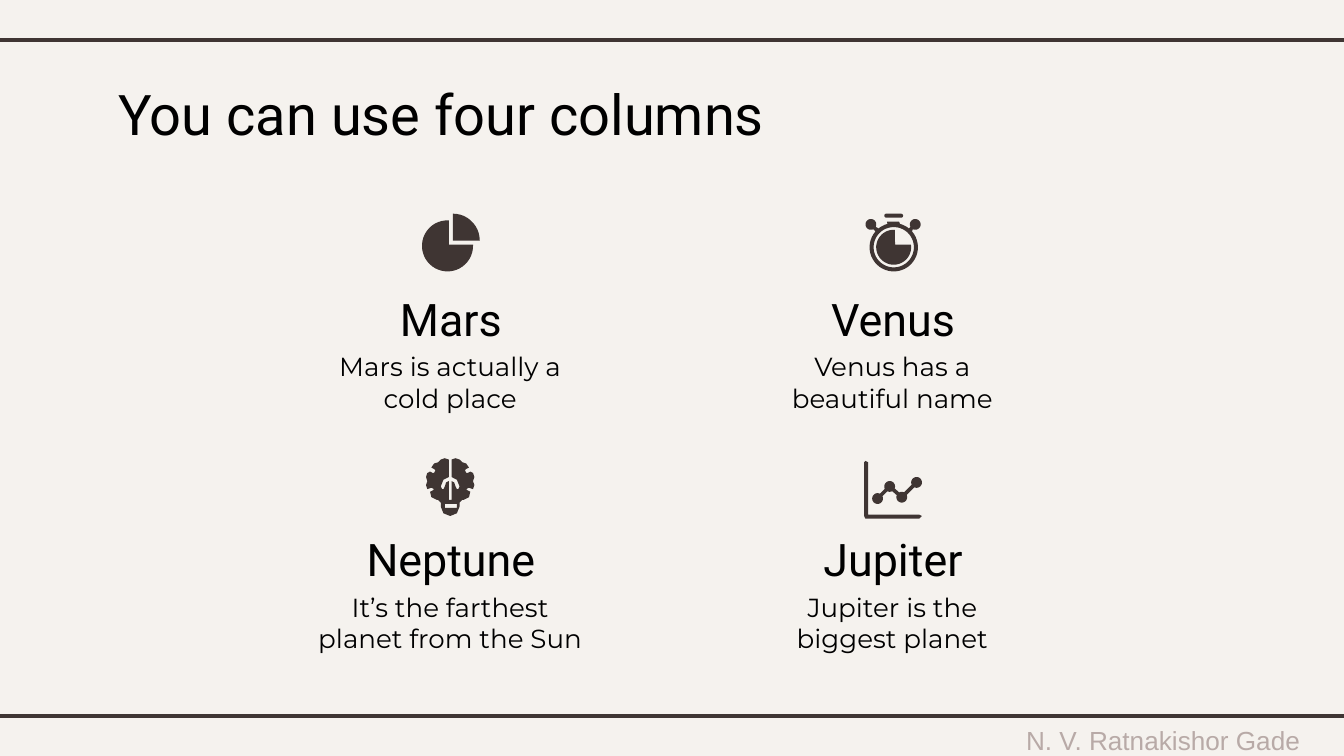
from dataclasses import dataclass
from itertools import chain
from math import atan2, cos, degrees, radians, sin

from lxml.etree import SubElement
from pptx import Presentation
from pptx.dml.color import RGBColor
from pptx.enum.shapes import MSO_CONNECTOR, MSO_SHAPE
from pptx.enum.text import MSO_ANCHOR, PP_ALIGN
from pptx.oxml.ns import qn
from pptx.util import Inches, Pt

DARK, BLACK, CREAM, GREY = "3F3533", "000000", "F5F2EE", "B8AAA7"
Point = tuple[float, float]


@dataclass
class TextStyle:
    font: str
    size: int
    color: str = BLACK
    align: PP_ALIGN = PP_ALIGN.CENTER
    anchor: MSO_ANCHOR = MSO_ANCHOR.TOP
    inset: float = 0.1


@dataclass
class Planet:
    name: str
    fact: str
    column: int
    row: int


TITLE = TextStyle("Roboto", 30, align=PP_ALIGN.LEFT)
NAME = TextStyle("Roboto", 24)
FACT = TextStyle("Montserrat", 14)
FOOTER = TextStyle("Arial", 14, GREY, anchor=MSO_ANCHOR.MIDDLE, inset=0)

PLANETS = [
    Planet("Venus", "Venus has a beautiful name", 1, 0),
    Planet("Mars", "Mars is actually a cold place", 0, 0),
    Planet("Jupiter", "Jupiter is the biggest planet", 1, 1),
    Planet("Neptune", "It’s the farthest planet from the Sun", 0, 1),
]

BRAIN_HALF = [
    (0.01, 3.72), (0.01, 3.58), (0.03, 3.59), (0.04, 3.62), (0.05, 3.64),
    (0.06, 3.64), (0.07, 3.62), (0.05, 3.57), (0.01, 3.55), (0.01, 3.42),
    (0.04, 3.41), (0.07, 3.42), (0.09, 3.44), (0.12, 3.45), (0.14, 3.48),
    (0.12, 3.49), (0.11, 3.5), (0.12, 3.52), (0.13, 3.52), (0.15, 3.51),
    (0.17, 3.52), (0.18, 3.55), (0.17, 3.58), (0.18, 3.61), (0.17, 3.64),
    (0.14, 3.63), (0.12, 3.64), (0.13, 3.65), (0.15, 3.66), (0.14, 3.7),
    (0.1, 3.72), (0.09, 3.72), (0.07, 3.74), (0.07, 3.77), (0.05, 3.82), (0, 3.84),
]


def rgb(color: str) -> RGBColor:
    return RGBColor.from_string(color)


def add_text(s, text: str, x: float, y: float, w: float, h: float, style: TextStyle) -> None:
    tf = s.shapes.add_textbox(Inches(x), Inches(y), Inches(w), Inches(h)).text_frame
    tf.word_wrap = True
    tf.vertical_anchor = style.anchor
    tf.margin_left = tf.margin_right = Inches(style.inset)
    tf.margin_top = tf.margin_bottom = Inches(style.inset)
    tf.text = text
    p = tf.paragraphs[0]
    p.alignment = style.align
    font = p.runs[0].font
    font.name, font.size = style.font, Pt(style.size)
    font.color.rgb = rgb(style.color)


def add_rule(s, y: float) -> None:
    line = s.shapes.add_connector(
        MSO_CONNECTOR.STRAIGHT, Inches(-0.08), Inches(y), Inches(10.08), Inches(y)
    )
    line.line.color.rgb = rgb(DARK)
    line.line.width = Pt(2.25)
    SubElement(line._element.spPr, qn("a:effectLst"))


def paint(sp) -> None:
    sp.shadow.inherit = False
    sp.fill.solid()
    sp.fill.fore_color.rgb = rgb(DARK)
    sp.line.fill.background()


def add_outline(shapes, *contours: list[Point]) -> None:
    scaled = [[(Inches(x), Inches(y)) for x, y in contour] for contour in contours]
    builder = shapes.build_freeform(*scaled[0][0], scale=1.0)
    builder.add_line_segments(scaled[0][1:], close=True)
    for contour in scaled[1:]:
        builder.move_to(*contour[0])
        builder.add_line_segments(contour[1:], close=True)
    paint(builder.convert_to_shape())


def arc(center: Point, radius: float, start: float, end: float) -> list[Point]:
    steps = max(2, round(abs(end - start) / 8))
    angles = [radians(start + (end - start) * i / steps) for i in range(steps + 1)]
    return [(center[0] + radius * cos(a), center[1] + radius * sin(a)) for a in angles]


def direction(a: Point, b: Point) -> float:
    return degrees(atan2(b[1] - a[1], b[0] - a[0]))


def add_pie_icon(s) -> None:
    shapes = s.shapes.add_group_shape().shapes
    add_outline(shapes, arc((3.33, 1.83), 0.19, -3, 273) + [(3.34, 1.82)])
    add_outline(shapes, arc((3.37, 1.79), 0.2, 270, 360) + [(3.37, 1.79)])


def add_stopwatch_icon(s) -> None:
    shapes = s.shapes.add_group_shape().shapes
    center, radius, ear = (6.65, 1.84), 0.18, 0.04
    add_outline(shapes, arc(center, 0.13, -9, 274) + [(6.66, 1.82)])
    bar = shapes.add_shape(
        MSO_SHAPE.ROUNDED_RECTANGLE, Inches(6.58), Inches(1.59), Inches(0.14), Inches(0.03)
    )
    bar.adjustments[0] = 0.5
    paint(bar)
    case = (
        arc(center, radius, -41, 221)
        + arc((6.48, 1.67), ear, 63, 387)
        + arc(center, radius, 231, 255)
        + [(6.6, 1.65), (6.69, 1.65)]
        + arc(center, radius, 285, 309)
        + arc((6.81, 1.67), ear, 153, 477)
    )
    add_outline(shapes, case, arc(center, 0.15, 0, 360))


def add_brain_icon(s) -> None:
    middle = 3.35
    left = [(middle - dx, y) for dx, y in BRAIN_HALF]
    right = [(middle + dx, y) for dx, y in reversed(BRAIN_HALF)]
    slot = [(3.31, 3.75), (3.4, 3.75), (3.4, 3.78), (3.31, 3.78)]
    add_outline(s.shapes, left + right, slot)


def add_trend_icon(s) -> None:
    shapes = s.shapes.add_group_shape().shapes
    add_outline(shapes, [
        (6.44, 3.43), (6.46, 3.44), (6.46, 3.83), (6.84, 3.83), (6.86, 3.84),
        (6.84, 3.86), (6.44, 3.86), (6.43, 3.84), (6.43, 3.44),
    ])
    dots = [(6.53, 3.71), (6.62, 3.62), (6.71, 3.7), (6.82, 3.59)]
    tour = dots + dots[-2:0:-1]
    gap = 20
    arcs = []
    for i, dot in enumerate(tour):
        start = direction(dot, tour[i - 1])
        sweep = (direction(dot, tour[(i + 1) % len(tour)]) - start) % 360 or 360
        arcs.append(arc(dot, 0.04, start + gap, start + sweep - gap))
    add_outline(shapes, list(chain.from_iterable(arcs)))


def add_planet(s, planet: Planet) -> None:
    x, y = 2.09 + 3.29 * planet.column, 2.07 + 1.79 * planet.row
    add_text(s, planet.name, x, y, 2.53, 0.54, NAME)
    add_text(s, planet.fact, x + 0.15, y + 0.44, 2.22, 0.63, FACT)


def main() -> None:
    prs = Presentation()
    prs.slide_width = Inches(10)
    prs.slide_height = prs.slide_width * 9 // 16
    s = prs.slides.add_slide(prs.slide_layouts[6])
    s.background.fill.solid()
    s.background.fill.fore_color.rgb = rgb(CREAM)
    add_text(s, "N. V. Ratnakishor Gade", 7.31, 5.41, 2.69, 0.19, FOOTER)
    for y in (0.3, 5.33):
        add_rule(s, y)
    for planet in PLANETS:
        add_planet(s, planet)
    for add_icon in (add_pie_icon, add_stopwatch_icon, add_brain_icon, add_trend_icon):
        add_icon(s)
    add_text(s, "You can use four columns", 0.78, 0.49, 7.09, 0.63, TITLE)
    prs.save("out.pptx")


if __name__ == "__main__":
    main()
